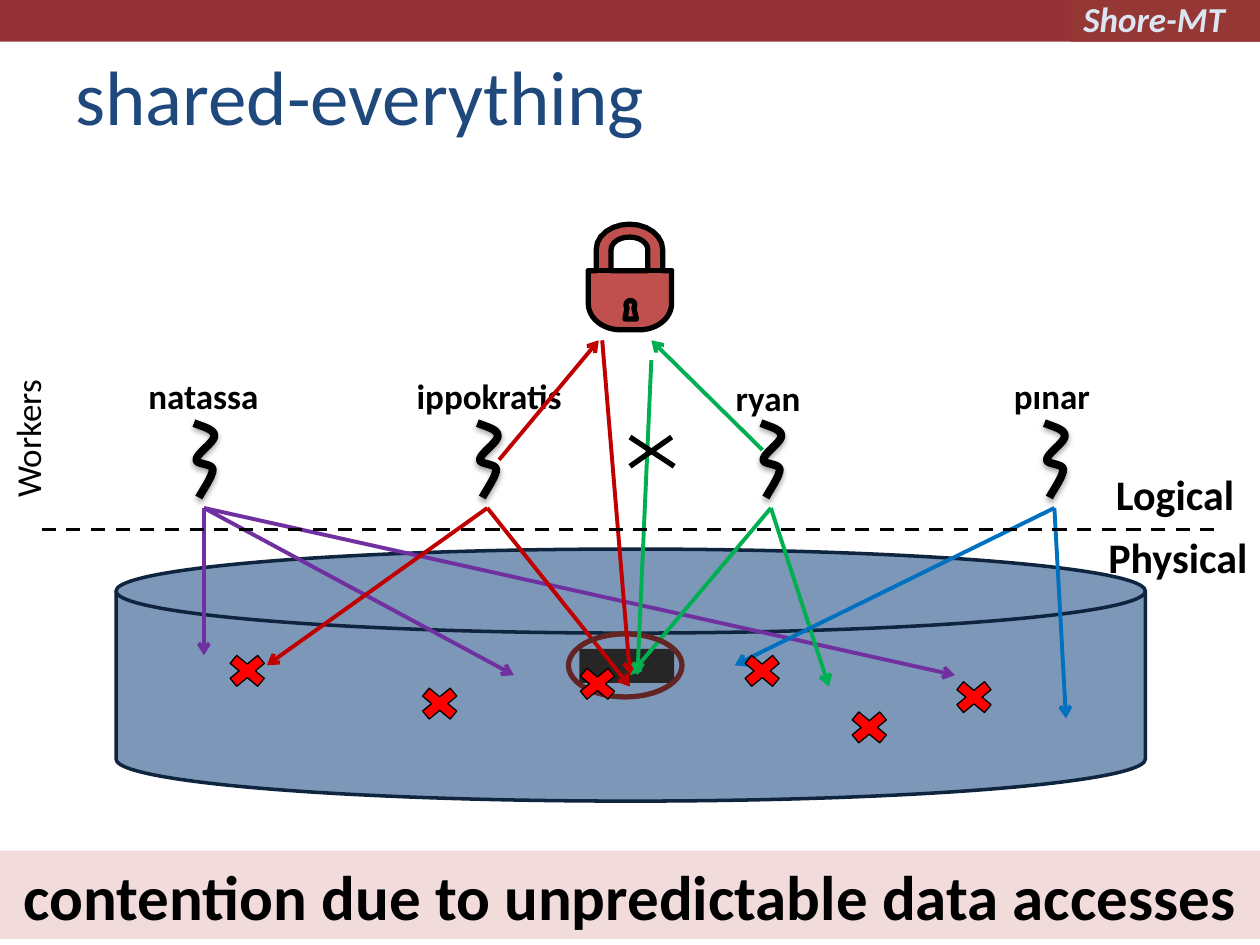
"""Build the shared-everything slide: workers contending for a lock and for data."""
from dataclasses import dataclass
from math import cos, radians, sin
from typing import Optional

from lxml.etree import SubElement
from pptx import Presentation
from pptx.dml.color import RGBColor
from pptx.enum.dml import MSO_LINE
from pptx.enum.shapes import MSO_CONNECTOR, MSO_SHAPE
from pptx.enum.text import MSO_ANCHOR, PP_ALIGN
from pptx.oxml.ns import qn
from pptx.util import Cm, Pt

COLORS = {
    "band": "963237", "tag": "953735", "tag_text": "DCE6F2", "title": "1F497D",
    "disk": "376092", "disk_line": "0F243E", "page": "262626", "ring": "632523",
    "lock": "C0504D", "footer": "F2DCDB", "black": "000000", "cross": "FF0000",
    "purple": "7030A0", "red": "C00000", "green": "00B050", "blue": "0070C0",
}
Point = tuple[float, float]
WORKER_PITCH = 5.715
SQUIGGLE_START = (3.91, 8.53)
SQUIGGLE_CURVES = [
    ((0, 0), (0.2, 0.08), (0.41, 0.13), (0.41, 0.25)),
    ((0.41, 0.25), (0.43, 0.38), (0.05, 0.61), (0.05, 0.74)),
    ((0.05, 0.74), (0.05, 0.84), (0.38, 0.81), (0.38, 0.94)),
    ((0.38, 0.94), (0.38, 1.07), (0.15, 1.4), (0.1, 1.5)),
]
ACCESS_START = (4.11, 10.24)


@dataclass
class Label:
    text: str
    left: float
    top: float
    width: float
    height: float
    size: int = 20
    color: str = "black"
    bold: bool = True
    italic: bool = False
    align: PP_ALIGN = PP_ALIGN.LEFT
    anchor: MSO_ANCHOR = MSO_ANCHOR.TOP
    wrap: bool = False
    vertical: bool = False


@dataclass
class Worker:
    label: Label
    color: str
    targets: list[Point]


@dataclass
class Line:
    start: Point
    end: Point
    color: str = "black"
    width: float = 2.25
    arrow: bool = True
    dashed: bool = False


WORKERS = [
    Worker(Label("natassa", 2.74, 7.42, 2.74, 1.12), "purple",
           [(10.36, 13.61), (4.11, 13.21), (19.25, 13.61)]),
    Worker(Label("ippokratis", 8.15, 7.42, 3.45, 1.12), "red",
           [(5.38, 13.41), (12.7, 13.84)]),
    Worker(Label("ryan", 14.58, 7.47, 1.83, 1.12), "green",
           [(12.7, 13.61), (16.71, 13.84)]),
    Worker(Label("pınar", 20.19, 7.42, 2.06, 1.12), "blue",
           [(21.49, 14.48), (14.81, 13.41)]),
]
LOCK_LINES = [
    Line((10.06, 9.27), (12.07, 6.86), "red"),
    Line((12.14, 6.86), (12.7, 13.61), "red"),
    Line((15.37, 9.07), (13.13, 6.86), "green"),
    Line((13.13, 7.26), (12.85, 13.61), "green"),
    Line((12.7, 8.81), (13.59, 9.4), width=3, arrow=False),
    Line((12.7, 9.4), (13.54, 8.81), width=3, arrow=False),
]
CROSSES = [(11.51, 13.34), (8.33, 13.74), (4.45, 13.08),
           (19.1, 13.61), (14.83, 13.08), (16.99, 14.22)]


def rgb(name: str) -> RGBColor:
    """Return a named colour."""
    return RGBColor.from_string(COLORS[name])


def style(shape, fill: Optional[str], line: Optional[str], width: float) -> None:
    """Set the fill and outline of a shape and drop its shadow."""
    shape.shadow.inherit = False
    if fill:
        shape.fill.solid()
        shape.fill.fore_color.rgb = rgb(fill)
    else:
        shape.fill.background()
    if line:
        shape.line.color.rgb = rgb(line)
        shape.line.width = Pt(width)
    else:
        shape.line.fill.background()


def draw_shape(slide, kind: MSO_SHAPE, left: float, top: float, width: float, height: float,
               fill: Optional[str] = None, line: Optional[str] = None, line_width: float = 1):
    """Draw a preset shape."""
    shape = slide.shapes.add_shape(kind, Cm(left), Cm(top), Cm(width), Cm(height))
    style(shape, fill, line, line_width)
    return shape


def draw_outline(slide, contours: list[list[Point]], close: bool, fill: Optional[str], width: float):
    """Draw a black-lined freeform from one or more contours."""
    first, *others = [[(Cm(x), Cm(y)) for x, y in contour] for contour in contours]
    builder = slide.shapes.build_freeform(*first[0])
    builder.add_line_segments(first[1:], close=close)
    for contour in others:
        builder.move_to(*contour[0])
        builder.add_line_segments(contour[1:], close=close)
    shape = builder.convert_to_shape()
    style(shape, fill, "black", width)
    return shape


def draw_label(slide, label: Label) -> None:
    """Draw a text box with one line of text."""
    box = slide.shapes.add_textbox(Cm(label.left), Cm(label.top), Cm(label.width), Cm(label.height))
    write_text(box, label)


def write_text(shape, label: Label) -> None:
    """Write a label into a shape."""
    frame = shape.text_frame
    frame.word_wrap = label.wrap
    frame.vertical_anchor = label.anchor
    if label.vertical:
        shape.element.txBody.find(qn("a:bodyPr")).set("vert", "vert270")
    paragraph = frame.paragraphs[0]
    paragraph.text = label.text
    paragraph.alignment = label.align
    font = paragraph.font
    font.name, font.size = "Calibri", Pt(label.size)
    font.bold, font.italic = label.bold, label.italic
    font.color.rgb = rgb(label.color)


def draw_line(slide, line: Line) -> None:
    """Draw a straight line, with an arrowhead or dashes if asked."""
    connector = slide.shapes.add_connector(
        MSO_CONNECTOR.STRAIGHT, *(Cm(value) for value in line.start + line.end))
    connector.line.color.rgb = rgb(line.color)
    connector.line.width = Pt(line.width)
    if line.dashed:
        connector.line.dash_style = MSO_LINE.DASH
    properties = connector.element.spPr
    if line.arrow:
        SubElement(properties.find(qn("a:ln")), qn("a:tailEnd"), type="arrow")
    SubElement(properties, qn("a:effectLst"))


def arc(center: Point, radius_x: float, radius_y: float, start: int, end: int) -> list[Point]:
    """Return points along an elliptic arc, clockwise in degrees from the right."""
    angles = [radians(start + (end - start) * step / 12) for step in range(13)]
    return [(center[0] + radius_x * cos(a), center[1] + radius_y * sin(a)) for a in angles]


def bezier(curve: tuple[Point, ...]) -> list[Point]:
    """Return points along a cubic curve."""
    steps = [step / 12 for step in range(13)]
    return [tuple(sum(weight * point[axis] for weight, point in zip(
        ((1 - t) ** 3, 3 * t * (1 - t) ** 2, 3 * t * t * (1 - t), t ** 3), curve))
        for axis in (0, 1)) for t in steps]


def draw_squiggle(slide, offset: float) -> None:
    """Draw the wavy thread of one worker with a soft shadow."""
    left, top = SQUIGGLE_START
    points = [(left + offset + x, top + y) for curve in SQUIGGLE_CURVES for x, y in bezier(curve)]
    shape = draw_outline(slide, [points], False, None, 4.5)
    effects = shape.element.spPr.find(qn("a:effectLst"))
    shadow = SubElement(effects, qn("a:outerShdw"), blurRad="40000", dist="23000",
                        dir="5400000", rotWithShape="0")
    color = SubElement(shadow, qn("a:srgbClr"), val=COLORS["black"])
    SubElement(color, qn("a:alpha"), val="35000")


def draw_lock(slide) -> None:
    """Draw the padlock with its keyhole."""
    left, right, top = 11.86, 13.54, 5.46
    center = (12.69, 5.03)
    body = [(left, top), (12.02, top), *arc(center, 0.67, 0.51, 180, 360), (13.36, top), (right, top),
            *arc((12.89, 6.12), 0.65, 0.53, 0, 90), *arc((12.51, 6.12), 0.65, 0.53, 90, 180)]
    opening = [(12.32, top), *arc(center, 0.37, 0.25, 180, 360), (13.06, top)]
    draw_outline(slide, [body, opening, [(left, top), (right, top)]], True, "lock", 3)
    keyhole = [(12.83, 6.43), (12.6, 6.43), *arc((12.71, 6.15), 0.09, 0.09, 140, 400)]
    draw_outline(slide, [keyhole], True, "lock", 3)


def main() -> None:
    """Build and save the slide."""
    presentation = Presentation()
    presentation.slide_width, presentation.slide_height = Cm(25.4), Cm(19.05)
    slide = presentation.slides.add_slide(presentation.slide_layouts[6])

    draw_shape(slide, MSO_SHAPE.RECTANGLE, 0, 0, 25.4, 0.84, "band")
    draw_shape(slide, MSO_SHAPE.RECTANGLE, 21.59, 0, 3.81, 0.84, "tag")
    draw_label(slide, Label("Shore-MT", 21.59, -0.18, 3.61, 1.12, color="tag_text", italic=True, wrap=True))
    disk = draw_shape(slide, MSO_SHAPE.FLOWCHART_MAGNETIC_DISK, 2.34, 11.07, 20.75, 5.08,
                      "disk", "disk_line", 2)
    disk_color = disk.element.spPr.find(qn("a:solidFill")).find(qn("a:srgbClr"))
    SubElement(disk_color, qn("a:alpha"), val="65000")
    draw_shape(slide, MSO_SHAPE.RECTANGLE, 11.68, 13.08, 1.91, 0.69, "page")
    draw_label(slide, Label("shared-everything", 1.27, 0.76, 22.86, 2.21, 44, "title", False,
                            anchor=MSO_ANCHOR.BOTTOM, wrap=True))

    for index, worker in enumerate(WORKERS):
        offset = index * WORKER_PITCH
        draw_squiggle(slide, offset)
        draw_label(slide, worker.label)
        for target in worker.targets:
            draw_line(slide, Line((ACCESS_START[0] + offset, ACCESS_START[1]), target, worker.color))

    draw_shape(slide, MSO_SHAPE.OVAL, 11.46, 12.78, 2.29, 1.27, line="ring", line_width=3)
    draw_lock(slide)
    for line in LOCK_LINES:
        draw_line(slide, line)
    draw_label(slide, Label("Workers", 0, 7.62, 1.37, 2.67, bold=False, vertical=True))
    for left, top in CROSSES:
        draw_shape(slide, MSO_SHAPE.MATH_MULTIPLY, left, top, 1.07, 0.89, "cross", "black", 0.75)
    draw_line(slide, Line((0.84, 10.67), (24.56, 10.67), width=2, arrow=False, dashed=True))
    draw_label(slide, Label("Logical", 22.23, 9.32, 2.92, 1.27, 24, align=PP_ALIGN.CENTER))
    draw_label(slide, Label("Physical", 22.07, 10.59, 3.35, 1.27, 24, align=PP_ALIGN.CENTER))

    footer = draw_shape(slide, MSO_SHAPE.RECTANGLE, 0, 17.15, 25.4, 1.78, "footer")
    footer.text_frame.margin_top = footer.text_frame.margin_bottom = Cm(0)
    write_text(footer, Label("contention due to unpredictable data accesses", 0, 17.15, 25.4, 1.78, 36,
                             align=PP_ALIGN.CENTER, anchor=MSO_ANCHOR.MIDDLE, wrap=True))
    presentation.save("out.pptx")


if __name__ == "__main__":
    main()
